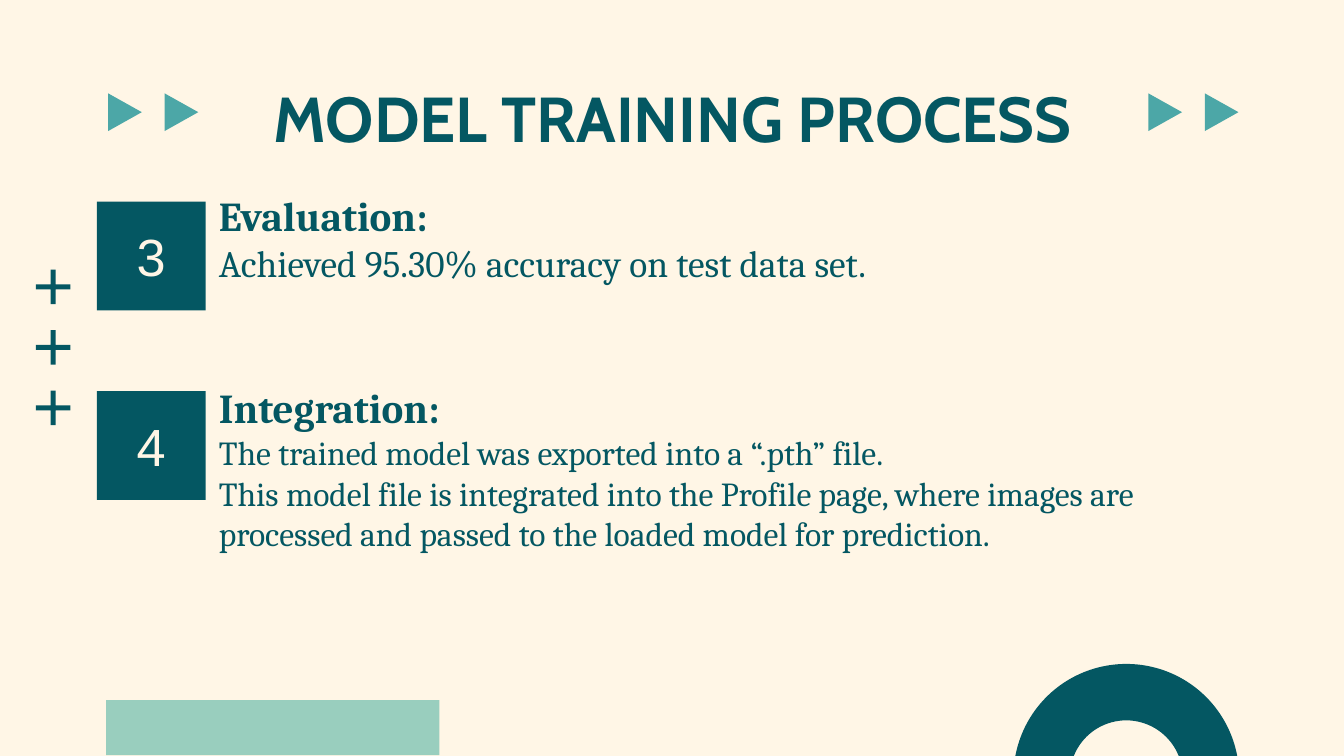
import pptx
import pptx.util
import pptx.dml.color
import pptx.enum.shapes
import pptx.enum.text

Inches, Pt = pptx.util.Inches, pptx.util.Pt
KIND = pptx.enum.shapes.MSO_SHAPE
ALIGN = pptx.enum.text.PP_ALIGN
ANCHOR = pptx.enum.text.MSO_ANCHOR

# Content
TITLE = "MODEL TRAINING PROCESS"
STEPS = [
    ("3", 1.5, "Evaluation:", 20,
     ["Achieved 95.30% accuracy on test data set."]),
    ("4", 2.91, "Integration:", 18,
     ["The trained model was exported into a “.pth” file.",
      "This model file is integrated into the Profile page, where images "
      "are processed and passed to the loaded model for prediction."]),
]
STEP_GAP = 52.5  # points between the two steps

CREAM, DARK, TEAL, MINT = "FFF6E6", "045762", "4CA7A7", "99CEBE"


def paint(fmt, color):
    """Set a solid fill from a hex string."""
    fmt.solid()
    fmt.fore_color.rgb = pptx.dml.color.RGBColor.from_string(color)


def add_run(para, text, font, size, color, bold=False):
    run = para.add_run()
    run.text = text
    run.font.name, run.font.size, run.font.bold = font, Pt(size), bold
    paint(run.font.fill, color)


def add_shape(kind, x, y, w, h, color, turn=0, adj=None):
    shape = slide.shapes.add_shape(
        kind, Inches(x), Inches(y), Inches(w), Inches(h))
    shape.shadow.inherit = False
    paint(shape.fill, color)
    shape.line.fill.background()
    shape.rotation = turn
    if adj is not None:
        shape.adjustments[0] = adj
    return shape


def set_frame(frame, anchor):
    frame.word_wrap = True
    frame.auto_size = pptx.enum.text.MSO_AUTO_SIZE.NONE
    frame.vertical_anchor = anchor
    frame.margin_left = frame.margin_right = Inches(0.1)
    frame.margin_top = frame.margin_bottom = Inches(0.1)


# Slide in 16:9
prs = pptx.Presentation()
prs.slide_width = Inches(10)
prs.slide_height = prs.slide_width * 9 // 16
slide = prs.slides.add_slide(prs.slide_layouts[5])
paint(slide.background.fill, CREAM)

# Corner shapes and plus signs
add_shape(KIND.RECTANGLE, 0.79, 5.21, 2.48, 0.41, MINT)
add_shape(KIND.DONUT, 7.54, 4.94, 1.68, 1.68, DARK, adj=0.25)
for i in range(3):
    add_shape(KIND.MATH_PLUS, 0.22, 1.96 + 0.45 * i, 0.35, 0.35, DARK,
              turn=90, adj=0.111)

# Title
title = slide.shapes.title
title.left, title.top = Inches(0.79), Inches(0.49)
title.width, title.height = Inches(8.43), Inches(0.63)
set_frame(title.text_frame, ANCHOR.TOP)
para = title.text_frame.paragraphs[0]
para.alignment = ALIGN.CENTER
add_run(para, TITLE, "Cabin", 34, DARK, True)

# Pairs of arrows beside the title
for left in (0.79, 8.53):
    for i in range(2):
        add_shape(KIND.ISOSCELES_TRIANGLE, left + 0.42 * i, 0.71,
                  0.28, 0.25, TEAL, turn=90)

# Step text
box = slide.shapes.add_textbox(
    Inches(1.53), Inches(1.32), Inches(7.41), Inches(3.28))
body = box.text_frame
set_frame(body, ANCHOR.TOP)
for i, (num, top, head, size, lines) in enumerate(STEPS):
    para = body.add_paragraph() if i else body.paragraphs[0]
    if i:
        para.space_before = Pt(STEP_GAP)
    add_run(para, head, "Cambria", 22, DARK, True)
    for line in lines:
        add_run(body.add_paragraph(), line, "Cambria", size, DARK)

# Step numbers
for num, top, *rest in STEPS:
    tile = add_shape(KIND.RECTANGLE, 0.72, top, 0.81, 0.81, DARK)
    set_frame(tile.text_frame, ANCHOR.MIDDLE)
    para = tile.text_frame.paragraphs[0]
    para.alignment = ALIGN.CENTER
    add_run(para, num, "Arial", 28, CREAM)

prs.save("out.pptx")
